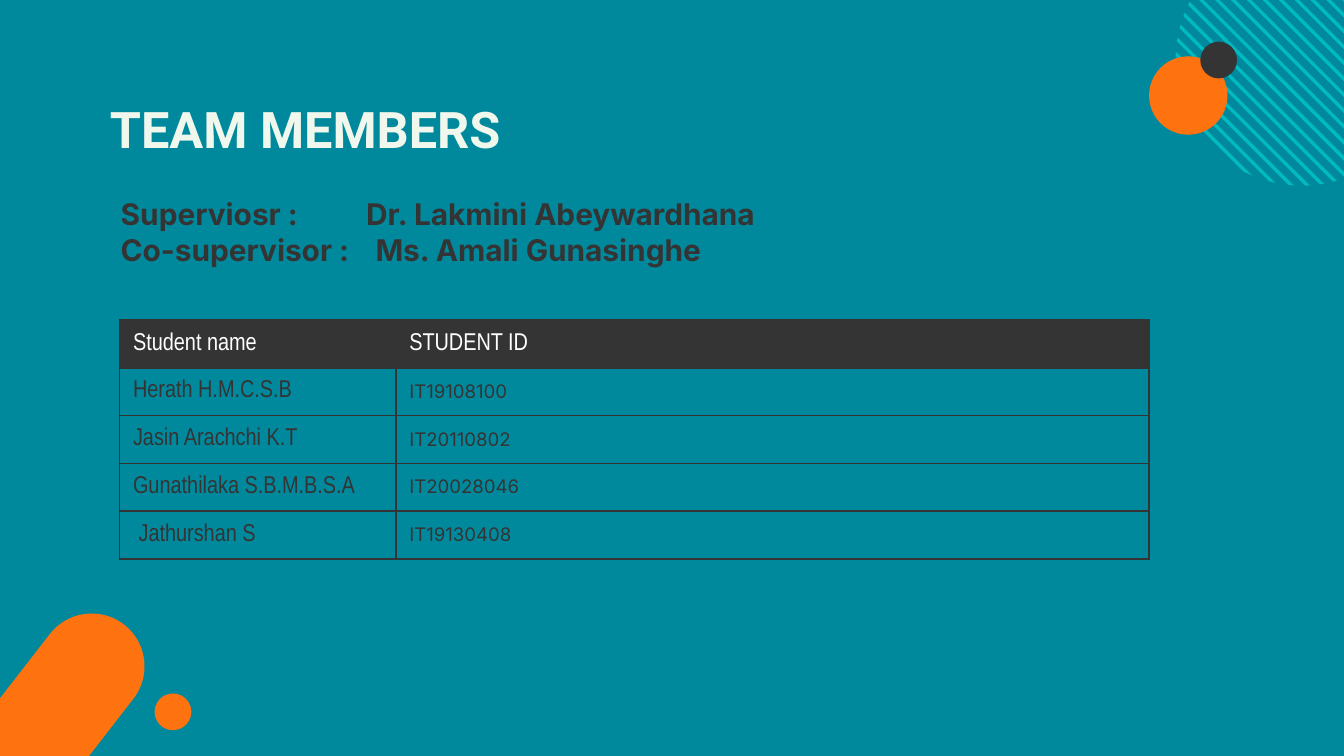
from dataclasses import dataclass
from math import sqrt

from lxml import etree
from pptx import Presentation
from pptx.dml.color import RGBColor
from pptx.enum.shapes import MSO_SHAPE
from pptx.enum.text import MSO_ANCHOR, PP_ALIGN
from pptx.oxml.ns import qn
from pptx.util import Pt

OVAL = MSO_SHAPE.OVAL
PILL = MSO_SHAPE.ROUNDED_RECTANGLE
MIDDLE = MSO_ANCHOR.MIDDLE
CENTER = PP_ALIGN.CENTER
LEFT = PP_ALIGN.LEFT


@dataclass(frozen=True)
class Theme:
    background: str = "00899D"
    stripe: str = "00BBC1"
    accent: str = "FF7210"
    dark: str = "343434"
    title: str = "F0F7ED"
    white: str = "FFFFFF"
    title_font: str = "Roboto"
    body_font: str = "Inter"
    table_font: str = "Arial Narrow"
    title_size: float = 27
    body_size: float = 16
    name_size: float = 13
    id_size: float = 10


THEME = Theme()

TITLE = "TEAM MEMBERS"
SUPERVISORS = [
    ("Superviosr :", "Dr. Lakmini Abeywardhana", 131.5),
    ("Co-supervisor :", "Ms. Amali Gunasinghe", 136.5),
]
HEADER = ("Student name", "STUDENT ID")
STUDENTS = [
    ("Herath H.M.C.S.B", "IT19108100", 0),
    ("Jasin Arachchi K.T", "IT20110802", 0),
    ("Gunathilaka S.B.M.B.S.A", "IT20028046", 0),
    ("Jathurshan S", "IT19130408", 3),
]

DOTS = [
    (82.8, 371.5, 19.7, THEME.accent),
    (615.6, 30.2, 42, THEME.accent),
    (643, 22.3, 19.7, THEME.dark),
]
PILL_BOX = (-277.9, 475, 427, 56.6)
PILL_ANGLE = 307.8

STRIPE_CENTER = (697.3, 32)
STRIPE_RADIUS = 67.5
STRIPE_COUNT = 18
STRIPE_FIRST = 55
STRIPE_STEP = 8.52
STRIPE_WIDTH = 2.5

TABLE_ORIGIN = (64.1, 171.4)
COLUMN_WIDTHS = (148, 403.6)
ROW_HEIGHT = 25.6
INSET = 7.2


def points(*values):
    return [Pt(value) for value in values]


def paint(shape, color):
    shape.shadow.inherit = False
    shape.fill.solid()
    shape.fill.fore_color.rgb = RGBColor.from_string(color)
    shape.line.fill.background()


def style(paragraph, font_name, size, color, bold=False):
    font = paragraph.font
    font.name = font_name
    font.size = Pt(size)
    font.bold = bold
    font.color.rgb = RGBColor.from_string(color)


def add_text_frame(slide, *box):
    frame = slide.shapes.add_textbox(*points(*box)).text_frame
    frame.word_wrap = True
    frame.margin_left = frame.margin_right = Pt(INSET)
    frame.margin_top = frame.margin_bottom = Pt(INSET)
    return frame


def add_tab_stop(paragraph, position):
    tab_list = etree.SubElement(paragraph._p.get_or_add_pPr(), qn("a:tabLst"))
    etree.SubElement(tab_list, qn("a:tab"), pos=str(Pt(position)), algn="l")


def chord(offset):
    center_x, center_y = STRIPE_CENTER
    reach = sqrt(STRIPE_RADIUS ** 2 - offset ** 2 / 2) / sqrt(2)
    middle_x, middle_y = center_x + offset / 2, center_y - offset / 2
    return [(middle_x + sign * reach, middle_y + sign * reach) for sign in (-1, 1)]


def add_stripes(slide):
    for index in range(STRIPE_COUNT):
        offset = STRIPE_FIRST - index * STRIPE_STEP
        upper = chord(offset + STRIPE_WIDTH / 2)
        lower = chord(offset - STRIPE_WIDTH / 2)
        corners = [(Pt(x), Pt(y)) for x, y in upper + lower[::-1]]
        builder = slide.shapes.build_freeform(*corners[0])
        builder.add_line_segments(corners[1:], close=True)
        paint(builder.convert_to_shape(), THEME.stripe)


def add_border(cell):
    properties = cell._tc.get_or_add_tcPr()
    for position, side in enumerate(("lnL", "lnR", "lnT", "lnB")):
        line = etree.Element(qn("a:" + side), w=str(Pt(1)))
        fill = etree.SubElement(line, qn("a:solidFill"))
        etree.SubElement(fill, qn("a:srgbClr"), val=THEME.dark)
        properties.insert(position, line)


def fill_cell(cell, text, font_name, size, color, indent=0):
    cell.text = text
    cell.vertical_anchor = MIDDLE
    cell.margin_left = Pt(INSET + indent)
    cell.margin_right = Pt(INSET)
    cell.margin_top = cell.margin_bottom = 0
    style(cell.text_frame.paragraphs[0], font_name, size, color)
    cell.fill.background()
    add_border(cell)


def add_student_table(slide):
    row_count = len(STUDENTS) + 1
    box = (*TABLE_ORIGIN, sum(COLUMN_WIDTHS), row_count * ROW_HEIGHT)
    table = slide.shapes.add_table(row_count, len(HEADER), *points(*box)).table
    table.first_row = table.horz_banding = False
    for column, width in zip(table.columns, COLUMN_WIDTHS):
        column.width = Pt(width)
    for row in table.rows:
        row.height = Pt(ROW_HEIGHT)
    for column, text in enumerate(HEADER):
        cell = table.cell(0, column)
        fill_cell(cell, text, THEME.table_font, THEME.name_size, THEME.white)
        cell.fill.solid()
        cell.fill.fore_color.rgb = RGBColor.from_string(THEME.dark)
    for row, (name, student_id, indent) in enumerate(STUDENTS, 1):
        fill_cell(table.cell(row, 0), name, THEME.table_font, THEME.name_size,
                  THEME.dark, indent)
        fill_cell(table.cell(row, 1), student_id, THEME.body_font, THEME.id_size,
                  THEME.dark)


def main():
    presentation = Presentation()
    presentation.slide_width, presentation.slide_height = points(720, 405)
    slide = presentation.slides.add_slide(presentation.slide_layouts[6])
    slide.background.fill.solid()
    slide.background.fill.fore_color.rgb = RGBColor.from_string(THEME.background)

    title = add_text_frame(slide, -172, 45.4, 671, 45.4).paragraphs[0]
    title.text = TITLE
    title.alignment = CENTER
    style(title, THEME.title_font, THEME.title_size, THEME.title, True)

    add_stripes(slide)
    pill = slide.shapes.add_shape(PILL, *points(*PILL_BOX))
    pill.adjustments[0] = 0.5
    pill.rotation = PILL_ANGLE
    paint(pill, THEME.accent)
    for left, top, diameter, color in DOTS:
        dot = slide.shapes.add_shape(OVAL, *points(left, top, diameter, diameter))
        paint(dot, color)

    frame = add_text_frame(slide, 57.6, 97.9, 671, 45.4)
    for index, (role, name, tab) in enumerate(SUPERVISORS):
        paragraph = frame.add_paragraph() if index else frame.paragraphs[0]
        paragraph.text = f"{role}\t{name}"
        paragraph.alignment = LEFT
        add_tab_stop(paragraph, tab)
        style(paragraph, THEME.body_font, THEME.body_size, THEME.dark, True)

    add_student_table(slide)
    presentation.save("out.pptx")


if __name__ == "__main__":
    main()
